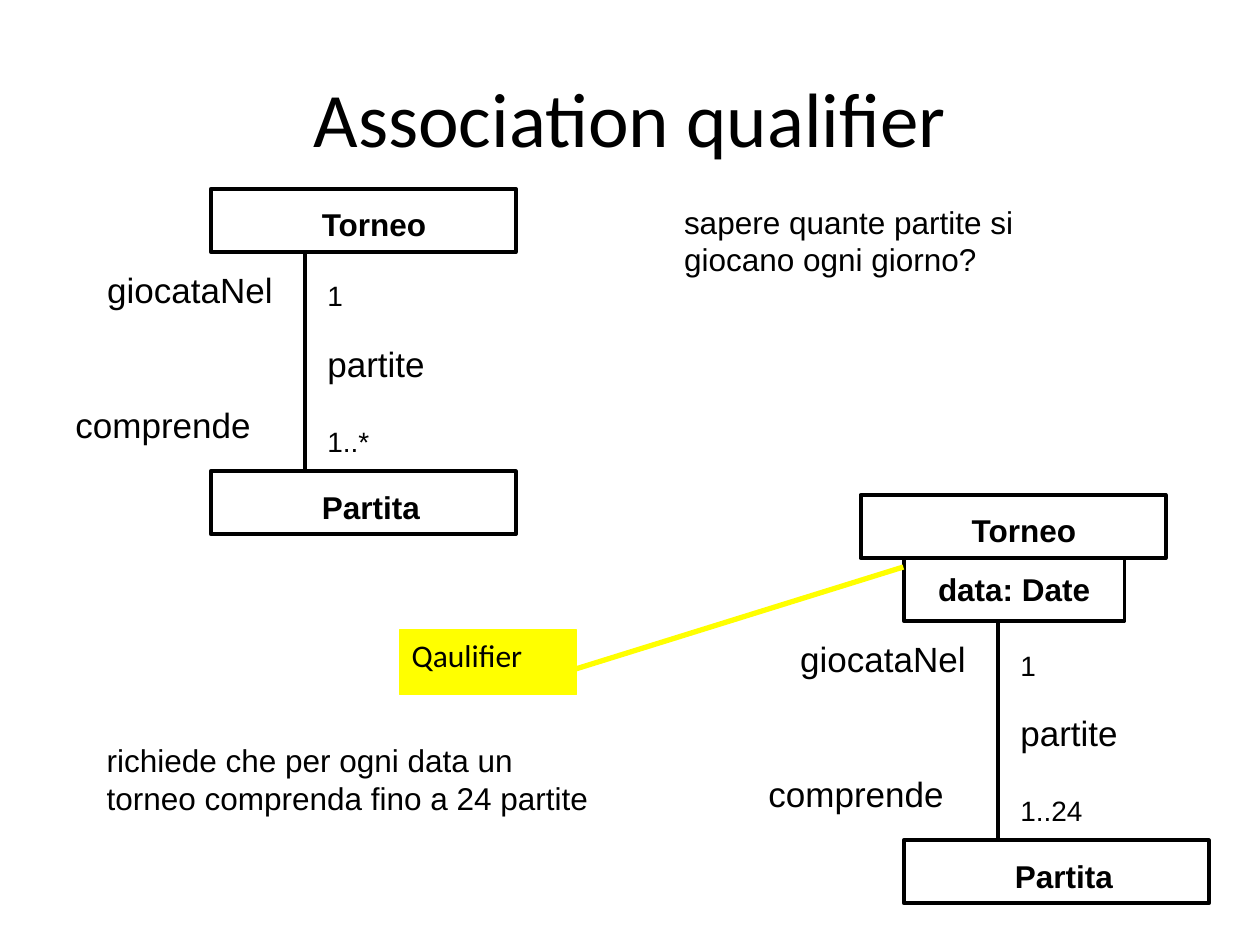
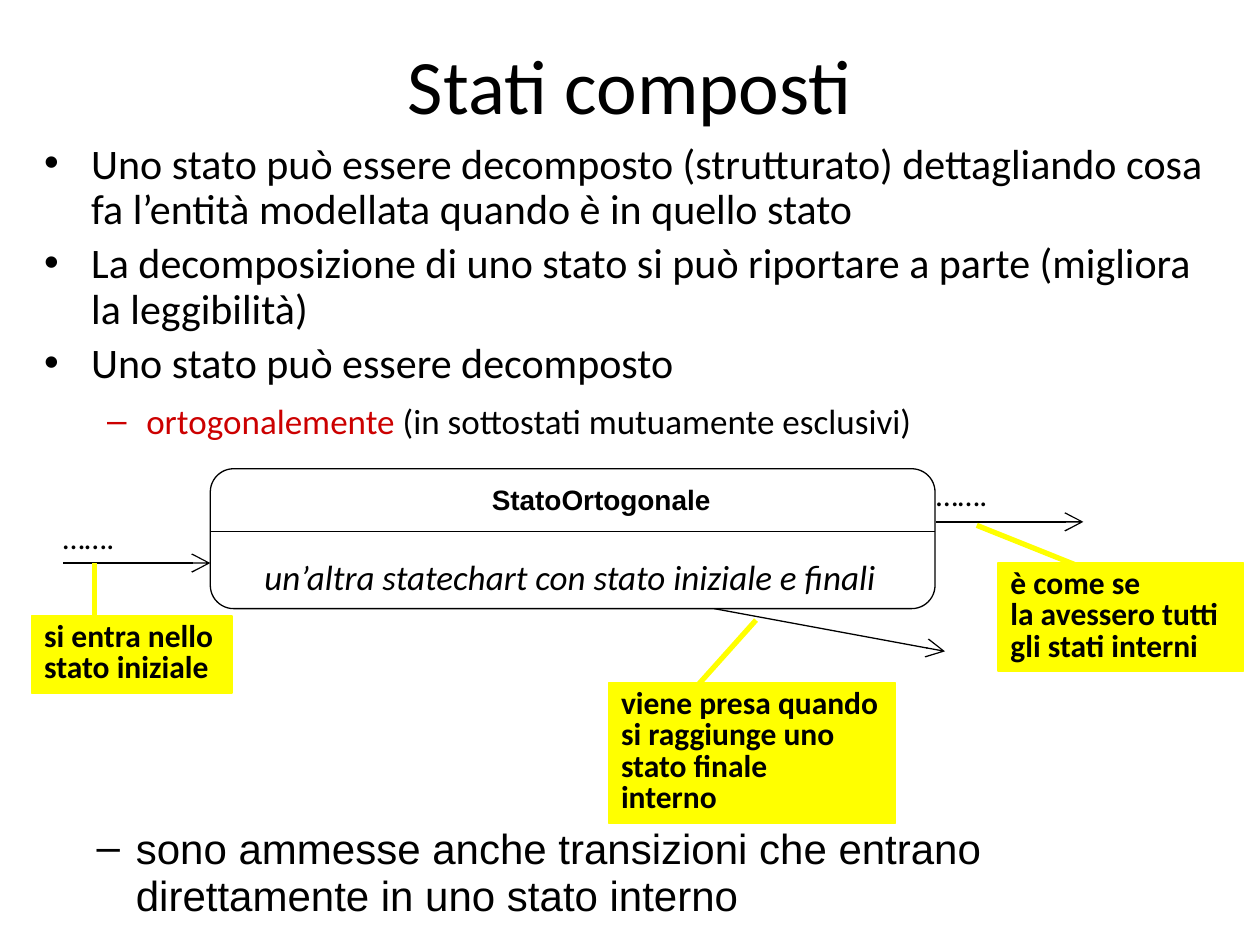
from lxml.etree import SubElement
from pptx import Presentation
from pptx.dml.color import RGBColor
from pptx.enum.shapes import MSO_CONNECTOR as Link, MSO_SHAPE as Form
from pptx.enum.text import MSO_ANCHOR as Anchor, PP_ALIGN as Align
from pptx.oxml.ns import qn
from pptx.util import Cm, Pt

BLACK, YELLOW, RED = "000000", "FFFF00", "CC0000"
BOX_W, BOX_H, SPINE = 6.15, 1.27, 4.42

MODELS = [
    dict(x=6.15, top=5.08, shift=-1.9, key="", many="1..*"),
    dict(x=20.12, top=12.52, shift=-2.77, key="data: Date", many="1..24"),
]
ROLES = [
    ("1", 0.2, 0.42, 3.18, 16),
    ("partite", 0.2, 1.7, 4.01, 20),
    ("{many}", 0.2, 3.35, 3.18, 16),
    ("giocataNel", -4.24, 0.2, 4.01, 20),
    ("comprende", -4.88, 2.92, 4.65, 20),
]
REMARKS = [
    ("sapere quante partite si\ngiocano ogni giorno?", 13.54, 3.96, 9.6),
    ("richiede che per ogni data un\ntorneo comprenda fino a 24 partite", 1.9, 14.81, 13.46),
]
KEY_NOTE = ("Qaulifier", (8.05, 12.7, 3.58, 1.3), (18.21, 11.43, 11.43, 13.54))
NOTES = [
    ("si entra nello\nstato iniziale", (0.64, 12.42, 4.04, 1.55), (1.9, 13.06, 1.9, 11.35)),
    ("viene presa quando\nsi raggiunge uno\nstato finale\ninterno",
     (12.27, 13.77, 5.79, 2.82), (13.54, 14.4, 15.24, 12.5)),
    ("è come se\nla avessero tutti\ngli stati interni",
     (20.12, 11.35, 4.95, 2.18), (21.79, 11.43, 19.69, 10.59)),
]
POINTS = [
    (0, [("Uno stato può essere decomposto (strutturato) dettagliando cosa fa "
          "l’entità modellata quando è in quello stato", BLACK)]),
    (0, [("La decomposizione di uno stato si può riportare a parte "
          "(migliora la leggibilità)", BLACK)]),
    (0, [("Uno stato può essere decomposto", BLACK)]),
    (1, [("ortogonalemente", RED), (" (in sottostati mutuamente esclusivi)", BLACK)]),
]
LAST = [(1, [("sono ammesse anche transizioni che entrano direttamente "
              "in uno stato interno", BLACK)])]
LEVELS = [("•", 0.95, 0.95, 24), ("–", 2.06, 0.79, 20)]
EVENTS = [(1.27, 11.35, 1.02, 10.31), (18.87, 10.52, 18.62, 9.45)]


def rgb(code):
    return RGBColor.from_string(code)


def style(run, size, font="Arial", color=BLACK, bold=False, italic=False):
    face = run.font
    face.size, face.name, face.bold, face.italic = Pt(size), font, bold, italic
    face.color.rgb = rgb(color)


def write(shape, text, size, align=Align.LEFT, lead=None, **look):
    frame = shape.text_frame
    frame.text, frame.word_wrap = text, True
    frame.vertical_anchor = Anchor.TOP
    for para in frame.paragraphs:
        para.alignment = align
        if lead:
            para.line_spacing = Pt(lead)
        for run in para.runs:
            style(run, size, **look)


def area(slide, *box):
    return slide.shapes.add_textbox(*map(Cm, box))


def label(slide, text, x, y, wide, size, **look):
    write(area(slide, x, y, wide, 1), text, size, **look)


def block(slide, box, weight, fill=None, edge=BLACK, form=Form.RECTANGLE):
    shape = slide.shapes.add_shape(form, *map(Cm, box))
    shape.shadow.inherit = False
    if fill:
        shape.fill.solid()
        shape.fill.fore_color.rgb = rgb(fill)
    else:
        shape.fill.background()
    shape.line.color.rgb = rgb(edge)
    shape.line.width = Pt(weight)
    return shape


def line(slide, ends, weight, color=BLACK, arrow=False):
    link = slide.shapes.add_connector(Link.STRAIGHT, *map(Cm, ends))
    link.line.color.rgb = rgb(color)
    link.line.width = Pt(weight)
    props = link._element.spPr
    if arrow:
        SubElement(props.find(qn("a:ln")), qn("a:tailEnd"), type="arrow", w="lg", len="lg")
    SubElement(props, qn("a:effectLst"))


def note(slide, text, box, ends, **look):
    line(slide, ends, 3, YELLOW)
    write(block(slide, box, 0.75, YELLOW, YELLOW), text, 18, font="Calibri", **look)


def entity(slide, text, x, y, wide=BOX_W, left=2.24, top=0.33):
    shape = block(slide, (x, y, wide, BOX_H), 2.25)
    write(shape, text, 18, bold=True)
    frame = shape.text_frame
    frame.margin_left, frame.margin_top = Cm(left), Cm(top)
    frame.margin_right = 0


def model(slide, x, top, shift, key, many):
    foot = top + SPINE
    head = top - BOX_H * (2 if key else 1)
    entity(slide, "Torneo", x + shift, head)
    entity(slide, "Partita", x - 1.9, foot)
    if key:
        entity(slide, key, x - 1.9, top - BOX_H, 4.45, 0.69, 0.25)
    line(slide, (x, foot, x, top), 2.25)
    for text, dx, dy, wide, size in ROLES:
        label(slide, text.format(many=many), x + dx, top + dy, wide, size)


def bullets(slide, box, points, lead, font, size=None):
    frame = area(slide, *box).text_frame
    frame.word_wrap = True
    for i, (level, parts) in enumerate(points):
        para = frame.add_paragraph() if i else frame.paragraphs[0]
        mark, left, hang, normal = LEVELS[level]
        para.level = level
        para.line_spacing, para.space_before = Pt(lead), Pt(5)
        props = para._p.get_or_add_pPr()
        props.set("marL", str(Cm(left)))
        props.set("indent", str(-Cm(hang)))
        SubElement(props, qn("a:buFont"), typeface="Arial")
        SubElement(props, qn("a:buChar"), char=mark)
        for text, color in parts:
            run = para.add_run()
            run.text = text
            style(run, size or normal, font, color)


def page(deck, text, top):
    slide = deck.slides.add_slide(deck.slide_layouts[5])
    title = slide.shapes.title
    title.left, title.top, title.width, title.height = map(Cm, (1.27, top, 22.86, 3.18))
    write(title, text, 44, Align.CENTER, font="Calibri")
    title.text_frame.vertical_anchor = Anchor.MIDDLE
    return slide


def qualifier(deck):
    slide = page(deck, "Association qualifier", 0.76)
    for data in MODELS:
        model(slide, **data)
    for text, x, y, wide in REMARKS:
        label(slide, text, x, y, wide, 18)
    note(slide, *KEY_NOTE)


def states(deck):
    slide = page(deck, "Stati composti", 0.1)
    bullets(slide, (0.64, 2.74, 24.13, 3.81), POINTS, 26, "Calibri")
    block(slide, (4.24, 9.45, 14.61, 2.82), 0.75, form=Form.FLOWCHART_ALTERNATE_PROCESS)
    line(slide, (4.24, 10.72, 18.85, 10.72), 0.75)
    label(slide, "StatoOrtogonale", 9.42, 9.6, 5.4, 16, align=Align.CENTER, bold=True)
    label(slide, "un’altra statechart con stato iniziale e finali",
          5.08, 11.07, 13.77, 20, font="Calibri", italic=True)
    line(slide, (14.4, 12.27, 19.05, 13.13), 0.75, arrow=True)
    for x, y, left, top in EVENTS:
        line(slide, (x, y, x + 2.97, y), 0.75, arrow=True)
        label(slide, "…….", left, top, 2.41, 18, font="Calibri")
    for data in NOTES:
        note(slide, *data, bold=True, lead=18)
    bullets(slide, (0.43, 16.51, 23.5, 2.54), LAST, 27, "Arial", 24)


def main():
    """Build the two UML slides."""
    deck = Presentation()
    deck.slide_width, deck.slide_height = Cm(25.4), Cm(19.05)
    qualifier(deck)
    states(deck)
    deck.save("out.pptx")


if __name__ == "__main__":
    main()
